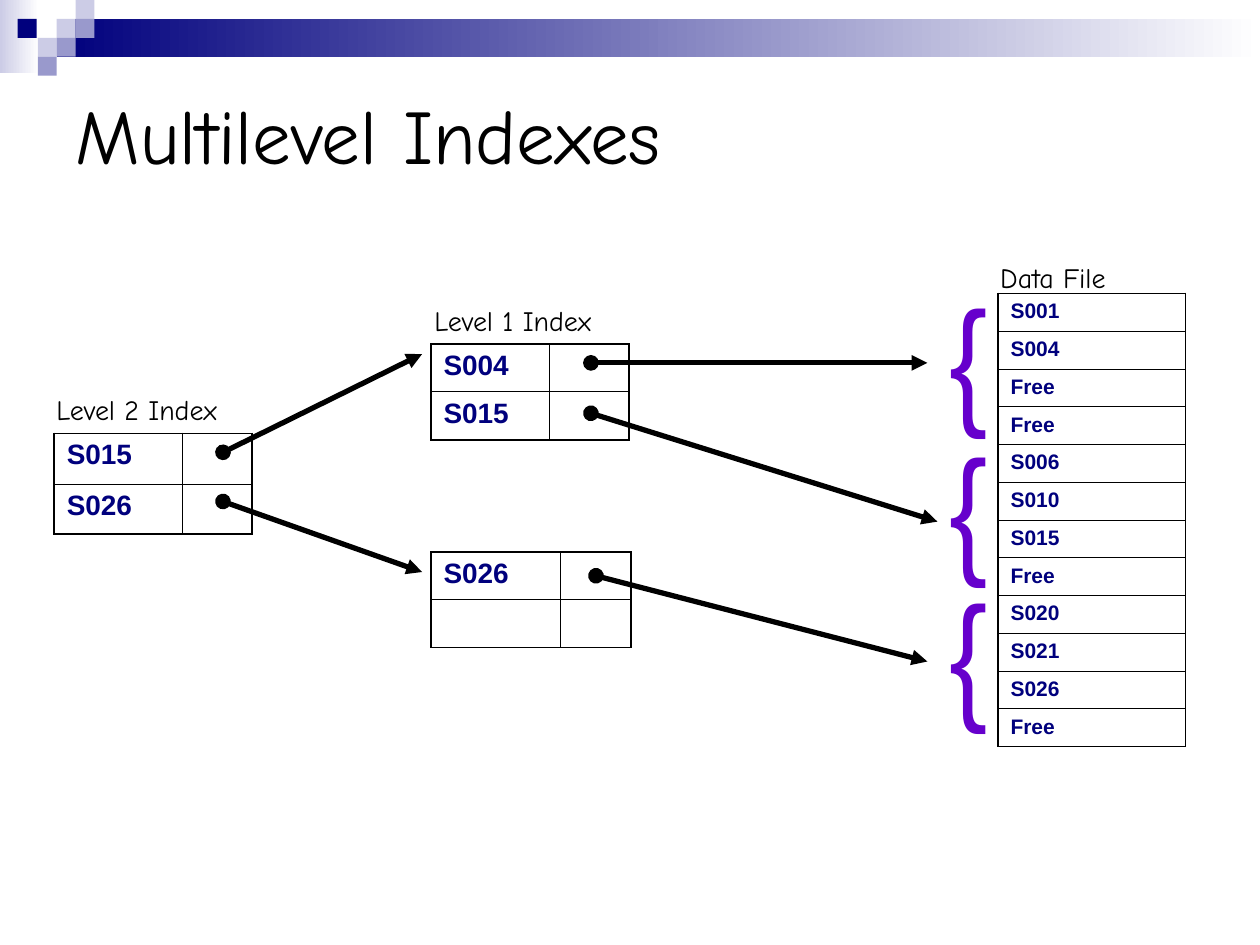
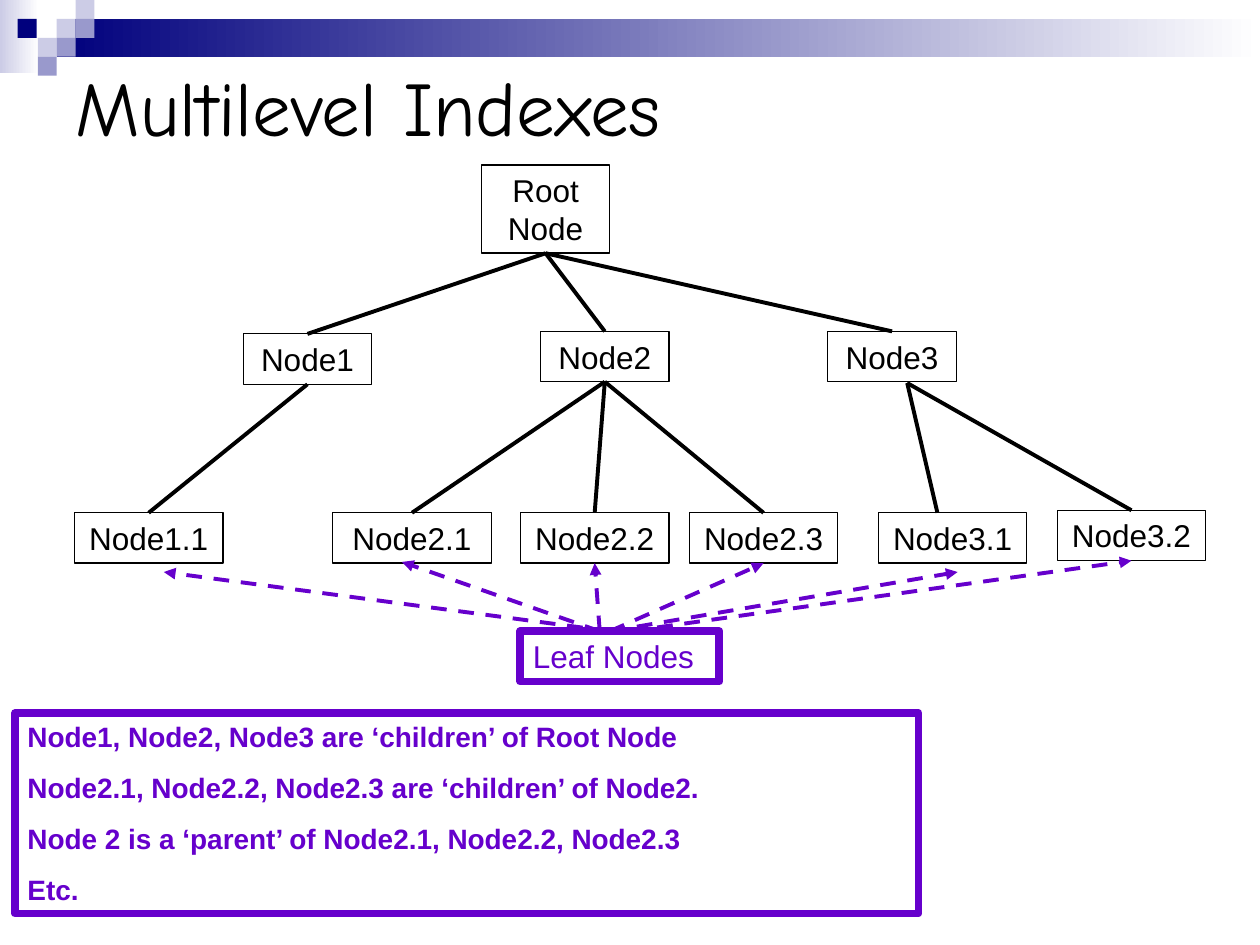
from lxml.etree import SubElement
from pptx import Presentation
from pptx.dml.color import RGBColor
from pptx.enum.dml import MSO_LINE
from pptx.enum.shapes import MSO_CONNECTOR, MSO_SHAPE
from pptx.enum.text import MSO_ANCHOR, PP_ALIGN
from pptx.oxml import parse_xml
from pptx.oxml.ns import nsdecls, qn
from pptx.util import Inches, Pt

NAVY = "00007D"
LILAC = "CCCCE6"
PERIWINKLE = "9999CC"
PURPLE = "6600CC"
BLACK = "000000"
WHITE = "FFFFFF"
BODY_FONT = "Arial"
TITLE_FONT = "Comic Neue"
BRACE_FONT = "Arial Narrow"
TOP, BOTTOM = 0, 2
OUTER_BORDER, INNER_BORDER = 1.08, 0.45


def rgb(value):
    return RGBColor.from_string(value)


def write(frame, text, size=18, font=BODY_FONT, color=BLACK, bold=False,
          align=PP_ALIGN.LEFT, anchor=MSO_ANCHOR.TOP, gap=0):
    frame.word_wrap = True
    frame.vertical_anchor = anchor
    for index, line in enumerate(text.split("\n")):
        paragraph = frame.add_paragraph() if index else frame.paragraphs[0]
        paragraph.alignment = align
        paragraph.space_before = Pt(gap if index else 0)
        run = paragraph.add_run()
        run.text = line
        run.font.size = Pt(size)
        run.font.name = font
        run.font.bold = bold
        run.font.color.rgb = rgb(color)


class Deck:
    def __init__(self):
        self.presentation = Presentation()
        self.presentation.slide_width = Inches(10)
        self.presentation.slide_height = Inches(7.5)
        self.slide = None

    def new_slide(self, title, top):
        layout = self.presentation.slide_layouts[5]
        self.slide = self.presentation.slides.add_slide(layout)
        placeholder = self.slide.shapes.title
        placeholder.left, placeholder.top = Inches(0.5), Inches(top)
        placeholder.width, placeholder.height = Inches(9), Inches(1.12)
        write(placeholder.text_frame, title, size=44, font=TITLE_FONT,
              anchor=MSO_ANCHOR.MIDDLE)

    def rectangle(self, left, top, width, height, fill=None, fade_to=None,
                  line=None, line_width=0.75):
        shape = self.slide.shapes.add_shape(
            MSO_SHAPE.RECTANGLE, Inches(left), Inches(top), Inches(width), Inches(height))
        shape.shadow.inherit = False
        if fade_to:
            shape.fill.gradient()
            shape.fill.gradient_angle = 0
            for stop, color in zip(shape.fill.gradient_stops, (fill, fade_to)):
                stop.color.rgb = rgb(color)
        elif fill:
            shape.fill.solid()
            shape.fill.fore_color.rgb = rgb(fill)
        else:
            shape.fill.background()
        if line:
            shape.line.color.rgb = rgb(line)
            shape.line.width = Pt(line_width)
        else:
            shape.line.fill.background()
        return shape

    def box(self, text, left, top, width, height=0.4, line=BLACK, line_width=0.75, **style):
        shape = self.rectangle(left, top, width, height, line=line, line_width=line_width)
        write(shape.text_frame, text, **style)
        return shape

    def label(self, text, left, top, width, height=0.37, **style):
        shape = self.slide.shapes.add_textbox(
            Inches(left), Inches(top), Inches(width), Inches(height))
        write(shape.text_frame, text, **style)

    def connect(self, start, end, color=BLACK, width=2.25, dash=None, head=None, tail=None):
        free = [(0, 0) if hasattr(place[0], "shape_id") else place for place in (start, end)]
        connector = self.slide.shapes.add_connector(
            MSO_CONNECTOR.STRAIGHT, *(Inches(value) for point in free for value in point))
        if hasattr(start[0], "shape_id"):
            connector.begin_connect(*start)
        if hasattr(end[0], "shape_id"):
            connector.end_connect(*end)
        connector.line.color.rgb = rgb(color)
        connector.line.width = Pt(width)
        if dash:
            connector.line.dash_style = dash
        properties = connector.element.spPr
        for tag, kind in (("a:headEnd", head), ("a:tailEnd", tail)):
            if kind:
                SubElement(properties.find(qn("a:ln")), qn(tag), type=kind)
        SubElement(properties, qn("a:effectLst"))

    def table(self, rows, left, top, widths, row_height, size):
        table = self.slide.shapes.add_table(
            len(rows), len(widths), Inches(left), Inches(top),
            Inches(sum(widths)), Inches(row_height * len(rows))).table
        table.first_row = table.horz_banding = False
        for column, width in zip(table.columns, widths):
            column.width = Inches(width)
        for row_index, row in enumerate(rows):
            for column_index, text in enumerate(row):
                cell = table.cell(row_index, column_index)
                cell.fill.background()
                if text:
                    write(cell.text_frame, text, size=size, color=NAVY, bold=True)
                else:
                    paragraph = cell.text_frame.paragraphs[0]
                    SubElement(paragraph._p, qn("a:endParaRPr"), sz=str(size * 100))
                self.cell_borders(cell, {
                    "L": column_index == 0,
                    "R": column_index == len(widths) - 1,
                    "T": row_index == 0,
                    "B": row_index == len(rows) - 1,
                })

    def cell_borders(self, cell, outer_sides):
        properties = cell._tc.get_or_add_tcPr()
        for position, (side, is_outer) in enumerate(outer_sides.items()):
            width = Pt(OUTER_BORDER if is_outer else INNER_BORDER)
            properties.insert(position, parse_xml(
                f'<a:ln{side} {nsdecls("a")} w="{int(width)}"><a:solidFill>'
                f'<a:srgbClr val="{BLACK}"/></a:solidFill></a:ln{side}>'))

    def decorate_master(self):
        bands = [
            self.rectangle(0, 0, 0.31, 0.58, fill=LILAC, fade_to=WHITE),
            self.rectangle(0.45, 0.15, 9.55, 0.3, fill=NAVY, fade_to=WHITE),
        ]
        squares = [(0.45, 0.15, LILAC), (0.6, 0, LILAC), (0.6, 0.15, PERIWINKLE),
                   (0.3, 0.3, LILAC), (0.14, 0.15, NAVY), (0.45, 0.3, PERIWINKLE),
                   (0.3, 0.45, PERIWINKLE)]
        bands += [self.rectangle(left, top, 0.15, 0.15, fill=color)
                  for left, top, color in squares]
        tree = self.presentation.slide_master.element.cSld.spTree
        for index, shape in enumerate(bands):
            shape.element.nvSpPr.cNvPr.set("id", str(100 + index))
            tree.insert(2 + index, shape.element)


def build_index_slide(deck):
    deck.new_slide("Multilevel Indexes", 0.5)
    deck.decorate_master()
    records = ["S001", "S004", "Free", "Free", "S006", "S010", "S015", "Free",
               "S020", "S021", "S026", "Free"]
    deck.table([["S004", ""], ["S015", ""]], 3.42, 2.73, [0.94, 0.63], 0.38, 16)
    deck.table([["S026", ""], ["", ""]], 3.42, 4.38, [1.03, 0.56], 0.38, 16)
    deck.table([["S015", ""], ["S026", ""]], 0.43, 3.44, [1.02, 0.55], 0.4, 16)
    deck.table([[record] for record in records], 7.92, 2.33, [1.49], 0.3, 12)
    for text, left, top, width in [("Data File", 7.84, 2.02, 1.97),
                                   ("Level 2 Index", 0.35, 3.07, 1.73),
                                   ("Level 1 Index", 3.35, 2.36, 1.73)]:
        deck.label(text, left, top, width, size=16, font=TITLE_FONT)
    for top in (2.1, 3.28, 4.44):
        deck.label("{", 7.44, top, 0.71, 1.44, size=80, font=BRACE_FONT, color=PURPLE)
    pointers = [((1.77, 3.59), (3.35, 2.81)), ((1.77, 3.98), (3.35, 4.54)),
                ((4.69, 2.88), (7.36, 2.88)), ((4.69, 3.28), (7.44, 4.14)),
                ((4.73, 4.57), (7.36, 5.25))]
    for start, end in pointers:
        deck.connect(start, end, width=3, head="oval", tail="triangle")


def build_tree_slide(deck):
    deck.new_slide("Multilevel Indexes", 0.28)
    root = deck.box("Root Node", 3.82, 1.31, 1.02, 0.7, align=PP_ALIGN.CENTER)
    places = {
        "Node1": (1.93, 2.65, 1.02), "Node2": (4.29, 2.63, 1.02),
        "Node3": (6.57, 2.63, 1.02), "Node1.1": (0.59, 4.07, 1.18),
        "Node2.1": (2.64, 4.07, 1.26), "Node2.2": (4.13, 4.07, 1.18),
        "Node2.3": (5.47, 4.07, 1.18), "Node3.1": (6.97, 4.07, 1.18),
        "Node3.2": (8.39, 4.05, 1.18),
    }
    nodes = {name: deck.box(name, *place, align=PP_ALIGN.CENTER)
             for name, place in places.items()}
    for name, node in nodes.items():
        parent, _, child = name.partition(".")
        if not child:
            start = (root, BOTTOM)
        elif parent == "Node3":
            start = (7.2, 3.04)
        else:
            start = (nodes[parent], BOTTOM)
        end = (7.44, 4.07) if name == "Node3.1" else (node, TOP)
        deck.connect(start, end)

    deck.box("Leaf Nodes", 4.13, 5.01, 1.58, line=PURPLE, line_width=4.5, color=PURPLE)
    leaf_arrows = [(4.84, (1.3, 4.54)), (4.76, (3.19, 4.46)),
                   (4.76, (nodes["Node2.2"], BOTTOM)), (4.84, (nodes["Node2.3"], BOTTOM)),
                   (4.84, (7.6, 4.54)), (5, (nodes["Node3.2"], BOTTOM))]
    for start_left, end in leaf_arrows:
        deck.connect((start_left, 5.01), end, color=PURPLE, dash=MSO_LINE.DASH,
                     tail="triangle")
    deck.box("Node1, Node2, Node3 are ‘children’ of Root Node\n"
             "Node2.1, Node2.2, Node2.3 are ‘children’ of Node2.\n"
             "Node 2 is a ‘parent’ of Node2.1, Node2.2, Node2.3\n"
             "Etc.", 0.12, 5.66, 7.17, 1.59, line=PURPLE, line_width=4.5,
             size=16, color=PURPLE, bold=True, gap=10)


def main():
    deck = Deck()
    build_index_slide(deck)
    build_tree_slide(deck)
    deck.presentation.save("out.pptx")


if __name__ == "__main__":
    main()
